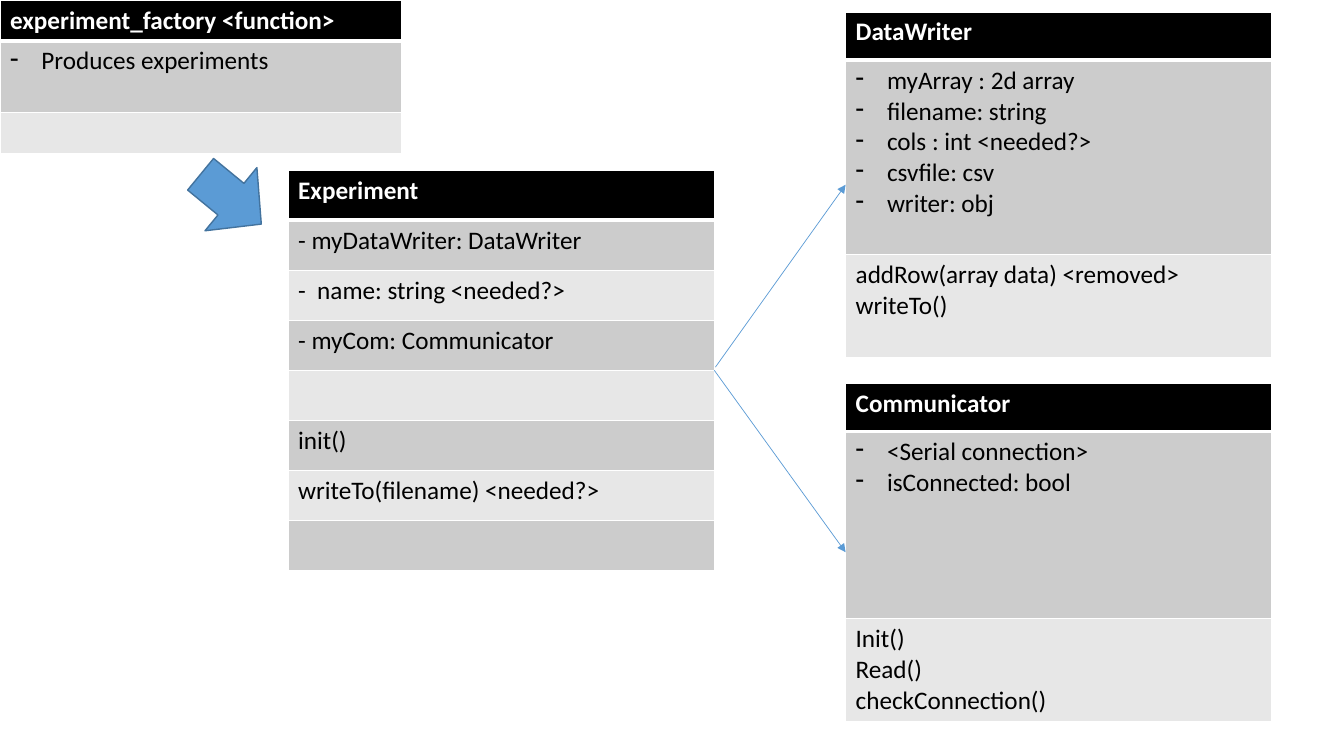
from dataclasses import dataclass

import pptx
import pptx.dml.color
import pptx.enum.shapes
import pptx.oxml.ns
import pptx.util
from lxml import etree
from pptx.util import Cm

COLORS = {
    "header": "000000",
    "dark_row": "CCCCCC",
    "light_row": "E7E7E7",
    "header_text": "FFFFFF",
    "row_text": "000000",
    "border": "FFFFFF",
    "accent": "5B9BD5",
    "accent_edge": "43739E",
}
TEXT_FORMAT = {"size": pptx.util.Pt(18), "name": "Calibri"}
HANGING_INDENT = Cm(0.79)


@dataclass
class Row:
    height: float
    lines: tuple[str, ...] = ()
    dashed: bool = False


@dataclass
class ClassBox:
    left: float
    top: float
    width: float
    rows: list[Row]


DATA_WRITER = ClassBox(21.31, 0.3, 10.74, [
    Row(1.22, ("DataWriter",)),
    Row(4.9, ("myArray : 2d array", "filename: string", "cols : int <needed?>",
              "csvfile: csv", "writer: obj"), True),
    Row(2.59, ("addRow(array data) <removed>", "writeTo()")),
])
EXPERIMENT = ClassBox(7.26, 4.29, 10.74, [
    Row(1.26, lines) for lines in (
        ("Experiment",),
        ("- myDataWriter: DataWriter",),
        ("-  name: string <needed?>",),
        ("- myCom: Communicator",),
        (),
        ("init()",),
        ("writeTo(filename) <needed?>",),
        (),
    )
])
COMMUNICATOR = ClassBox(21.31, 9.65, 10.74, [
    Row(1.22, ("Communicator",)),
    Row(4.72, ("<Serial connection>", "isConnected: bool"), True),
    Row(2.59, ("Init()", "Read()", "checkConnection()")),
])
FACTORY = ClassBox(0, 0, 10.11, [
    Row(1.02, ("experiment_factory <function>",)),
    Row(1.8, ("Produces experiments",), True),
    Row(1.02),
])


def rgb(role: str) -> pptx.dml.color.RGBColor:
    return pptx.dml.color.RGBColor.from_string(COLORS[role])


def add_xml(parent, tag: str, **attributes: str):
    return etree.SubElement(parent, pptx.oxml.ns.qn(tag), attributes)


def add_borders(cell, bottom_points: float, top_points: float) -> None:
    properties = cell._tc.get_or_add_tcPr()
    widths = {"a:lnL": 1, "a:lnR": 1, "a:lnT": top_points, "a:lnB": bottom_points}
    for tag, points in widths.items():
        border = add_xml(properties, tag, w=str(int(pptx.util.Pt(points))))
        add_xml(add_xml(border, "a:solidFill"), "a:srgbClr", val=COLORS["border"])


def write_lines(cell, row: Row, is_header: bool) -> None:
    for index, line in enumerate(row.lines):
        frame = cell.text_frame
        paragraph = frame.add_paragraph() if index else frame.paragraphs[0]
        if row.dashed:
            properties = paragraph._p.get_or_add_pPr()
            properties.set("marL", str(int(HANGING_INDENT)))
            properties.set("indent", str(-int(HANGING_INDENT)))
            add_xml(properties, "a:buChar", char="-")
        run = paragraph.add_run()
        run.text = line
        for attribute, value in {**TEXT_FORMAT, "bold": is_header}.items():
            setattr(run.font, attribute, value)
        run.font.color.rgb = rgb("header_text" if is_header else "row_text")


def draw_class_box(slide, box: ClassBox):
    height = sum(row.height for row in box.rows)
    frame = slide.shapes.add_table(
        len(box.rows), 1, Cm(box.left), Cm(box.top), Cm(box.width), Cm(height))
    for index, row in enumerate(box.rows):
        is_header = index == 0
        frame.table.rows[index].height = Cm(row.height)
        cell = frame.table.cell(index, 0)
        add_borders(cell, 3 if is_header else 1, 3 if index == 1 else 1)
        role = "header" if is_header else "dark_row" if index % 2 else "light_row"
        cell.fill.solid()
        cell.fill.fore_color.rgb = rgb(role)
        write_lines(cell, row, is_header)
    return frame


def draw_association(slide, start: tuple[float, float], target):
    association = slide.shapes.add_connector(
        pptx.enum.shapes.MSO_CONNECTOR.STRAIGHT,
        Cm(start[0]), Cm(start[1]), target.left, target.top + target.height // 2)
    association.end_connect(target, 1)
    association.line.color.rgb = rgb("accent")
    association.line.width = pptx.util.Pt(0.5)
    add_xml(association.line._get_or_add_ln(), "a:tailEnd", type="triangle")
    add_xml(association._element.spPr, "a:effectLst")
    return association


def draw_production_arrow(slide) -> None:
    production = slide.shapes.add_shape(
        pptx.enum.shapes.MSO_SHAPE.RIGHT_ARROW, Cm(4.83), Cm(3.99), Cm(1.98), Cm(2.06))
    production.rotation = 39.4
    production.shadow.inherit = False
    production.fill.solid()
    production.fill.fore_color.rgb = rgb("accent")
    production.line.color.rgb = rgb("accent_edge")
    production.line.width = pptx.util.Pt(1)


def main() -> None:
    deck = pptx.Presentation()
    deck.slide_width, deck.slide_height = Cm(33.87), Cm(19.05)
    slide = deck.slides.add_slide(deck.slide_layouts[6])
    data_writer, experiment, communicator = (
        draw_class_box(slide, box) for box in (DATA_WRITER, EXPERIMENT, COMMUNICATOR))
    draw_association(slide, (18.03, 9.25), data_writer)
    to_communicator = draw_association(slide, (18, 9.33), communicator)
    to_communicator.begin_connect(experiment, 3)
    draw_class_box(slide, FACTORY)
    draw_production_arrow(slide)
    deck.save("out.pptx")


if __name__ == "__main__":
    main()
